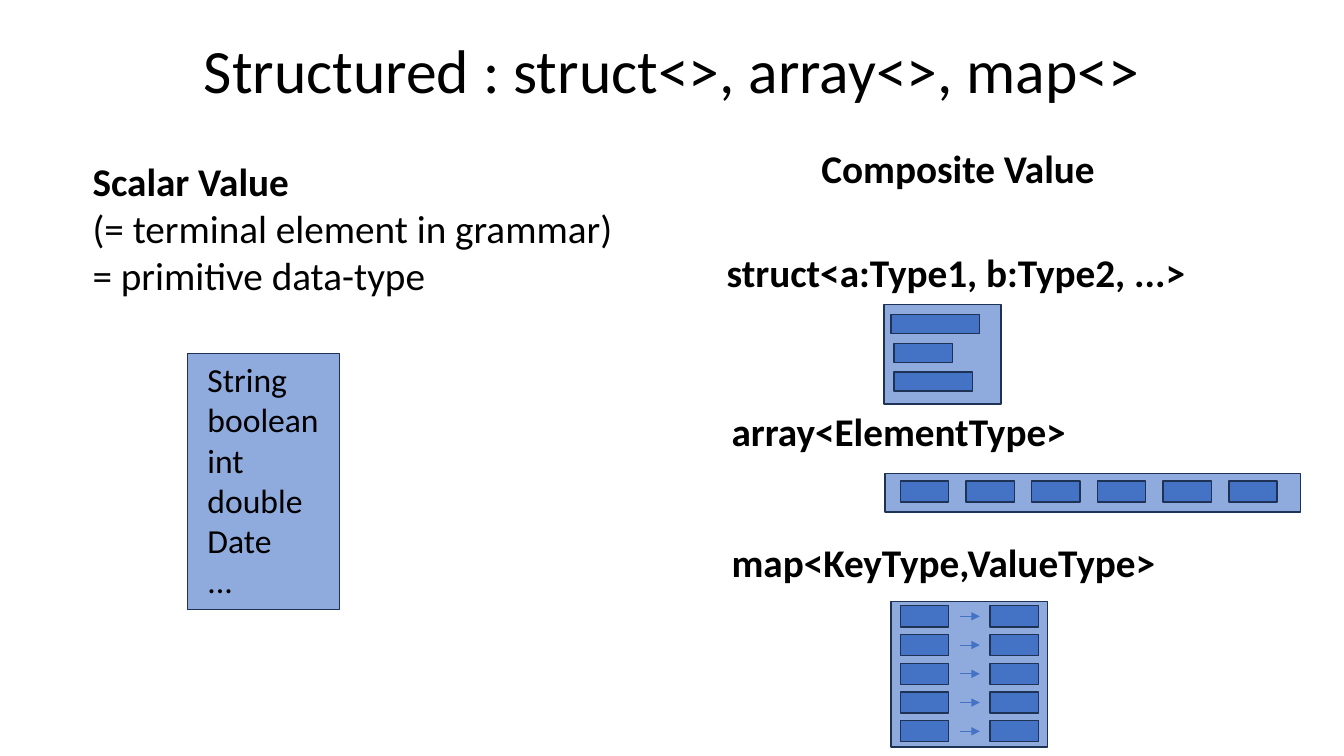
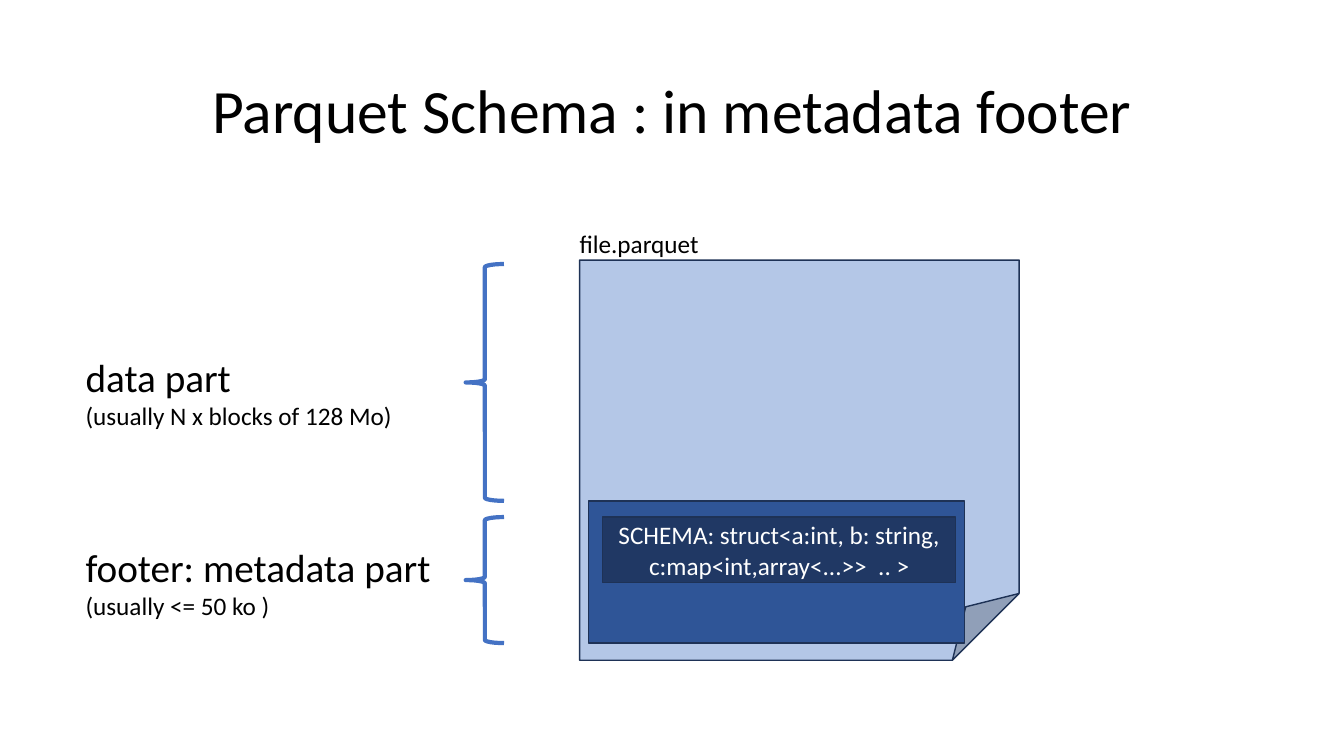
from pptx import Presentation
from pptx.dml.color import RGBColor
from pptx.enum.shapes import MSO_CONNECTOR, MSO_SHAPE
from pptx.enum.text import MSO_ANCHOR, PP_ALIGN
from pptx.oxml.ns import qn
from pptx.util import Inches, Pt
from lxml.etree import SubElement

BLACK = RGBColor(0x00, 0x00, 0x00)
WHITE = RGBColor(0xFF, 0xFF, 0xFF)
OUTLINE = RGBColor(0x1E, 0x32, 0x56)
ACCENT = RGBColor(0x44, 0x72, 0xC4)
CONTAINER = RGBColor(0x8F, 0xAA, 0xDC)
FILE_FILL = RGBColor(0xB4, 0xC7, 0xE7)
FOOTER_FILL = RGBColor(0x2F, 0x55, 0x97)
SCHEMA_FILL = RGBColor(0x20, 0x38, 0x64)
FONT = "Calibri"
TITLE_LEFT, TITLE_WIDTH = 6.9, 86.25

presentation = Presentation()
presentation.slide_width = Inches(13.33)
presentation.slide_height = Inches(7.5)
# All positions and sizes are percentages of the slide's width or height
COLUMN = presentation.slide_width / 100
ROW = presentation.slide_height / 100


def place(slide, kind, left, top, width, height, fill=None, line=OUTLINE, weight=1):
    """Add a preset shape, or a text box when kind is None."""
    bounds = (int(left * COLUMN), int(top * ROW), int(width * COLUMN), int(height * ROW))
    if kind is None:
        return slide.shapes.add_textbox(*bounds)
    shape = slide.shapes.add_shape(kind, *bounds)
    shape.shadow.inherit = False
    if fill is None:
        shape.fill.background()
    else:
        shape.fill.solid()
        shape.fill.fore_color.rgb = fill
    shape.line.color.rgb = line
    shape.line.width = Pt(weight)
    return shape


def write(shape, text, size=28, bold=False, color=BLACK, align=PP_ALIGN.LEFT,
          anchor=MSO_ANCHOR.TOP, wrap=False, spacing=1.0):
    """Append one paragraph for each line of text."""
    frame = shape.text_frame
    frame.word_wrap = wrap
    frame.vertical_anchor = anchor
    for line in text.split("\n"):
        paragraph = frame.add_paragraph() if frame.text else frame.paragraphs[0]
        paragraph.text = line
        paragraph.alignment = align
        paragraph.line_spacing = spacing
        paragraph.font.name = FONT
        paragraph.font.size = Pt(size)
        paragraph.font.bold = bold
        paragraph.font.color.rgb = color


# Slides and their titles
slides = []
for title, top, height in [
    ("Structured : struct<>, array<>, map<>", 1.6, 16.13),
    ("Parquet Schema : in metadata footer", 5.33, 19.33),
]:
    slide = presentation.slides.add_slide(presentation.slide_layouts[6])
    write(place(slide, None, TITLE_LEFT, top, TITLE_WIDTH, height), title, size=44,
          align=PP_ALIGN.CENTER, anchor=MSO_ANCHOR.MIDDLE, wrap=True, spacing=0.9)
    slides.append(slide)
types_slide, schema_slide = slides

# Scalar values
scalar_heading = place(types_slide, None, 6.15, 20.13, 40.58, 20.13)
write(scalar_heading, "Scalar Value", bold=True)
write(scalar_heading, "(= terminal element in grammar)\n= primitive data-type")
place(types_slide, MSO_SHAPE.RECTANGLE, 13.95, 46.8, 11.33, 33.87, CONTAINER)
write(place(types_slide, None, 14.7, 46.8, 9.9, 33.6),
      "String\nboolean\nint\ndouble\nDate\n...", size=24)

# Composite headings
for text, left, top, width in [
    ("Composite Value", 60.38, 18.4, 22.05),
    ("struct<a:Type1, b:Type2, ...>", 53.33, 32.13, 36.08),
    ("array<ElementType>", 53.7, 53.2, 26.7),
    ("map<KeyType,ValueType>", 53.7, 70.53, 33.38),
]:
    write(place(types_slide, None, left, top, width, 7.6), text, bold=True)

# Containers for struct, array and map
for bounds in [
    (65.78, 40.27, 8.7, 13.2),
    (65.85, 62.67, 30.9, 5.07),
    (66.3, 79.6, 11.63, 19.2),
]:
    place(types_slide, MSO_SHAPE.RECTANGLE, *bounds, CONTAINER)

CELL_LEFT, CELL_WIDTH, CELL_HEIGHT = 66.98, 3.6, 2.8
ROW_STEP = 3.8

# Struct fields
for index, (left, width) in enumerate([(66.3, 6.6), (66.53, 4.35), (66.53, 5.85)]):
    place(types_slide, MSO_SHAPE.RECTANGLE, left, 41.6 + index * ROW_STEP,
          width, 2.53, ACCENT)

# Array elements
for index in range(6):
    place(types_slide, MSO_SHAPE.RECTANGLE, CELL_LEFT + index * 4.89, 63.6,
          CELL_WIDTH, CELL_HEIGHT, ACCENT)

# Map entries: key, arrow, value
for index in range(5):
    top = 80.13 + index * ROW_STEP
    for left in (CELL_LEFT, 73.65):
        place(types_slide, MSO_SHAPE.RECTANGLE, left, top, CELL_WIDTH, CELL_HEIGHT, ACCENT)
    middle = int((top + CELL_HEIGHT / 2) * ROW)
    arrow = types_slide.shapes.add_connector(
        MSO_CONNECTOR.STRAIGHT, int(71.4 * COLUMN), middle, int(72.9 * COLUMN), middle)
    arrow.line.color.rgb = ACCENT
    arrow.line.width = Pt(0.5)
    SubElement(arrow.line._get_or_add_ln(), qn("a:tailEnd"), type="triangle")
    SubElement(arrow._element.spPr, qn("a:effectLst"))

# Parquet file with its footer and schema
place(schema_slide, MSO_SHAPE.FOLDED_CORNER, 43.13, 34.4, 32.7, 52.93, FILE_FILL)
place(schema_slide, MSO_SHAPE.RECTANGLE, 43.8, 66.27, 27.98, 18.8, FOOTER_FILL)
schema = place(schema_slide, MSO_SHAPE.RECTANGLE, 44.85, 68.4, 26.25, 8.67, SCHEMA_FILL)
write(schema, "SCHEMA: struct<a:int, b: string, c:map<int,array<...>>  .. >", size=18,
      color=WHITE, align=PP_ALIGN.CENTER, anchor=MSO_ANCHOR.MIDDLE, wrap=True)
write(place(schema_slide, None, 42.38, 29.6, 10.5, 5.33), "file.parquet", size=18)

# Braces and labels of the two file parts
for name, detail, label_top, label_width, brace_top, brace_height in [
    ("data part", "(usually N x blocks of 128 Mo)", 46.13, 24.53, 34.93, 31.33),
    ("footer: metadata part", "(usually <= 50 ko )", 71.2, 27.45, 68.4, 16.67),
]:
    place(schema_slide, MSO_SHAPE.LEFT_BRACE, 34.65, brace_top, 2.85, brace_height,
          line=ACCENT, weight=3)
    label = place(schema_slide, None, 5.63, label_top, label_width, 11.73)
    write(label, name)
    write(label, detail, size=18)

presentation.save("out.pptx")
